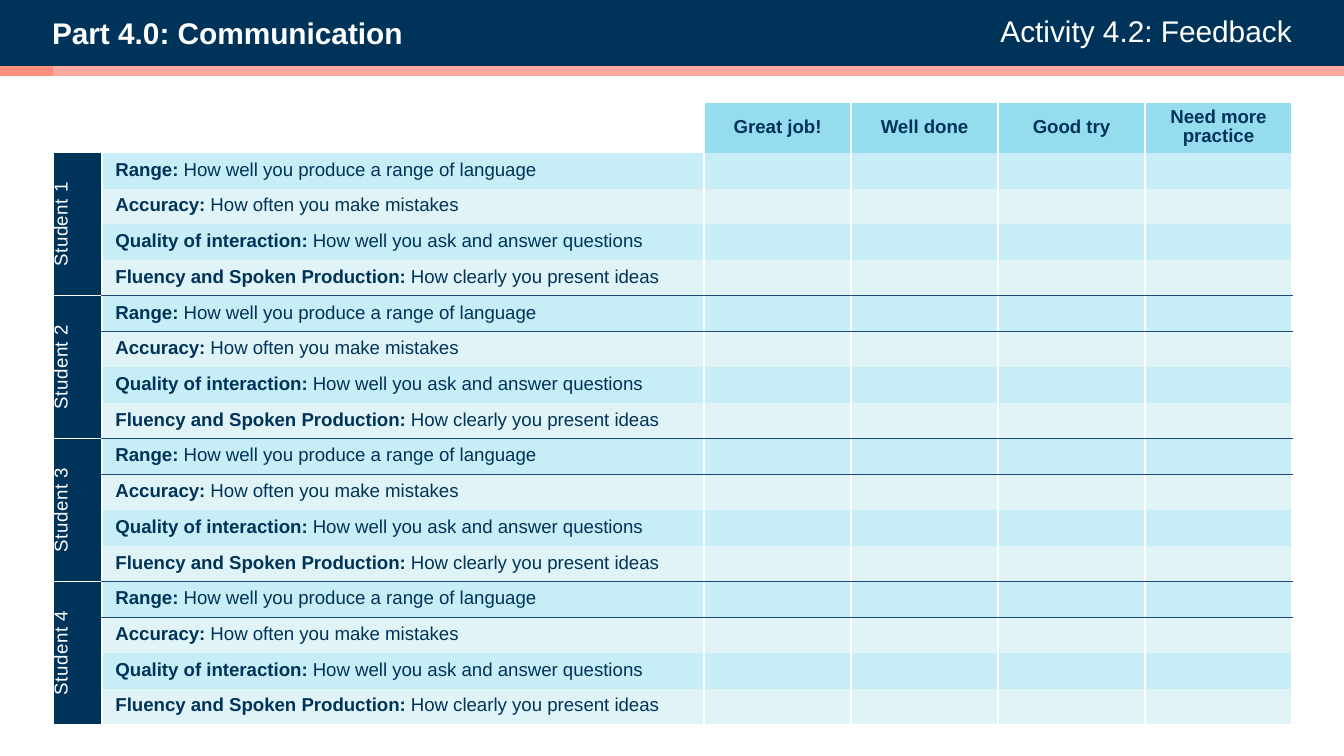
import dataclasses

import pptx
import pptx.dml.color
import pptx.enum.shapes
import pptx.enum.text
import pptx.util
import lxml.etree
import pptx.oxml.ns

SCALE = 914400 / 134.4  # EMU in one px


@dataclasses.dataclass(frozen=True)
class Theme:
    font: str = "Arial"
    navy: str = "003359"
    white: str = "FFFFFF"
    coral: str = "FF8E7E"
    header: str = "95DCEE"
    row_dark: str = "C7EDF6"
    row_light: str = "E0F4F8"
    rule: str = "1F497D"
    heading_size: int = 16
    table_size: int = 10


theme = Theme()


def px(length):
    return pptx.util.Emu(round(length * SCALE))


def add_run(paragraph, text, size, color, bold=False):
    run = paragraph.add_run()
    run.text = text
    run.font.name = theme.font
    run.font.size = pptx.util.Pt(size)
    run.font.bold = bold
    run.font.color.rgb = pptx.dml.color.RGBColor.from_string(color)
    return run


presentation = pptx.Presentation()
presentation.slide_width, presentation.slide_height = px(1344), px(756)
slide = presentation.slides.add_slide(presentation.slide_layouts[5])
title = slide.shapes.title

# Header band and coral strip
strip = slide.shapes.add_group_shape()
bars = [
    (slide.shapes, 0, 1344, 66, theme.navy, 100),
    (strip.shapes, 66, 1344, 10, theme.coral, 75),
    (strip.shapes, 66, 53, 10, theme.coral, 100),
]
for shapes, top, width, height, color, opacity in bars:
    bar = shapes.add_shape(pptx.enum.shapes.MSO_SHAPE.RECTANGLE,
                           0, px(top), px(width), px(height))
    bar.shadow.inherit = False
    bar.line.fill.background()
    bar.fill.solid()
    bar.fill.fore_color.rgb = pptx.dml.color.RGBColor.from_string(color)
    if opacity < 100:
        color_element = bar.fill._xPr.find(".//" + pptx.oxml.ns.qn("a:srgbClr"))
        lxml.etree.SubElement(color_element, pptx.oxml.ns.qn("a:alpha"),
                              val=str(opacity * 1000))
slide.shapes._spTree.append(title._element)  # title in front of the band

# Headings
activity = slide.shapes.add_textbox(0, 0, px(476), px(38))
headings = [
    (title, "Part 4.0: Communication", 52, 15, 760, 36, True, pptx.enum.text.PP_ALIGN.LEFT),
    (activity, "Activity 4.2: Feedback", 816, 13, 476, 38, False, pptx.enum.text.PP_ALIGN.RIGHT),
]
for shape, text, left, top, width, height, bold, alignment in headings:
    shape.left, shape.top, shape.width, shape.height = map(px, (left, top, width, height))
    frame = shape.text_frame
    frame.word_wrap = True
    frame.auto_size = pptx.enum.text.MSO_AUTO_SIZE.NONE
    frame.vertical_anchor = pptx.enum.text.MSO_ANCHOR.TOP
    frame.margin_left = frame.margin_right = frame.margin_top = frame.margin_bottom = 0
    paragraph = frame.paragraphs[0]
    paragraph.alignment = alignment
    add_run(paragraph, text, theme.heading_size, theme.white, bold)

# Table content
ratings = ["Great job!", "Well done", "Good try", "Need more practice"]
criteria = [
    ("Range: ", "How well you produce a range of language"),
    ("Accuracy:", " How often you make mistakes"),
    ("Quality of interaction: ", "How well you ask and answer questions"),
    ("Fluency and Spoken Production: ", "How clearly you present ideas"),
]
students = 4
group_size = len(criteria)
row_count = 1 + students * group_size
column_widths = [49, 602] + [147] * len(ratings)

# Feedback table
table = slide.shapes.add_table(row_count, len(column_widths), px(53), px(103),
                               px(sum(column_widths)), px(622)).table
table.first_row = table.horz_banding = False
style = table._tbl.tblPr.find(pptx.oxml.ns.qn("a:tableStyleId"))
style.text = "{2D5ABB26-0587-4C30-8999-92F81FD0307C}"  # no style, no grid
for column, width in zip(table.columns, column_widths):
    column.width = px(width)
for index, row in enumerate(table.rows):
    row.height = px(572 / (row_count - 1)) if index else px(50)
for student in range(students):
    first = 1 + student * group_size
    table.cell(first, 0).merge(table.cell(first + group_size - 1, 0))

for row in range(row_count):
    student, criterion = divmod(row - 1, group_size)
    for column in range(len(column_widths)):
        cell = table.cell(row, column)
        cell.margin_left = cell.margin_right = pptx.util.Inches(0.1)
        cell.margin_top = cell.margin_bottom = 0
        cell.vertical_anchor = pptx.enum.text.MSO_ANCHOR.MIDDLE

        # Borders: white between columns, a rule between students
        borders = {"a:lnL": theme.white, "a:lnR": theme.white}
        divider = theme.rule if column else theme.white
        if row > 1 and criterion == 0:
            borders["a:lnT"] = divider
        if 0 < row < row_count - 1 and criterion == group_size - 1:
            borders["a:lnB"] = divider
        properties = cell._tc.get_or_add_tcPr()
        for side, color in borders.items():
            line = lxml.etree.SubElement(properties, pptx.oxml.ns.qn(side),
                                         w=str(pptx.util.Pt(0.75)))
            fill = lxml.etree.SubElement(line, pptx.oxml.ns.qn("a:solidFill"))
            lxml.etree.SubElement(fill, pptx.oxml.ns.qn("a:srgbClr"), val=color)

        # Fill
        if row == 0 and column < 2:
            cell.fill.background()
        else:
            if row == 0:
                color = theme.header
            elif column == 0:
                color = theme.navy
            else:
                color = theme.row_light if criterion % 2 else theme.row_dark
            cell.fill.solid()
            cell.fill.fore_color.rgb = pptx.dml.color.RGBColor.from_string(color)

        # Text
        paragraph = cell.text_frame.paragraphs[0]
        paragraph.line_spacing = pptx.util.Pt(theme.table_size)
        if row == 0 and column > 1:
            paragraph.alignment = pptx.enum.text.PP_ALIGN.CENTER
            add_run(paragraph, ratings[column - 2], theme.table_size, theme.navy, True)
        elif row and column == 0 and criterion == 0:
            paragraph.alignment = pptx.enum.text.PP_ALIGN.CENTER
            properties.set("vert", "vert270")
            run = add_run(paragraph, f"Student {student + 1}", theme.table_size, theme.white)
            run.font._element.set("spc", "30")
        elif row and column == 1:
            name, question = criteria[criterion]
            add_run(paragraph, name, theme.table_size, theme.navy, True)
            add_run(paragraph, question, theme.table_size, theme.navy)
        else:  # empty cells keep the small type so rows stay low
            lxml.etree.SubElement(paragraph._p, pptx.oxml.ns.qn("a:endParaRPr"),
                                  sz=str(theme.table_size * 100))

presentation.save("out.pptx")
